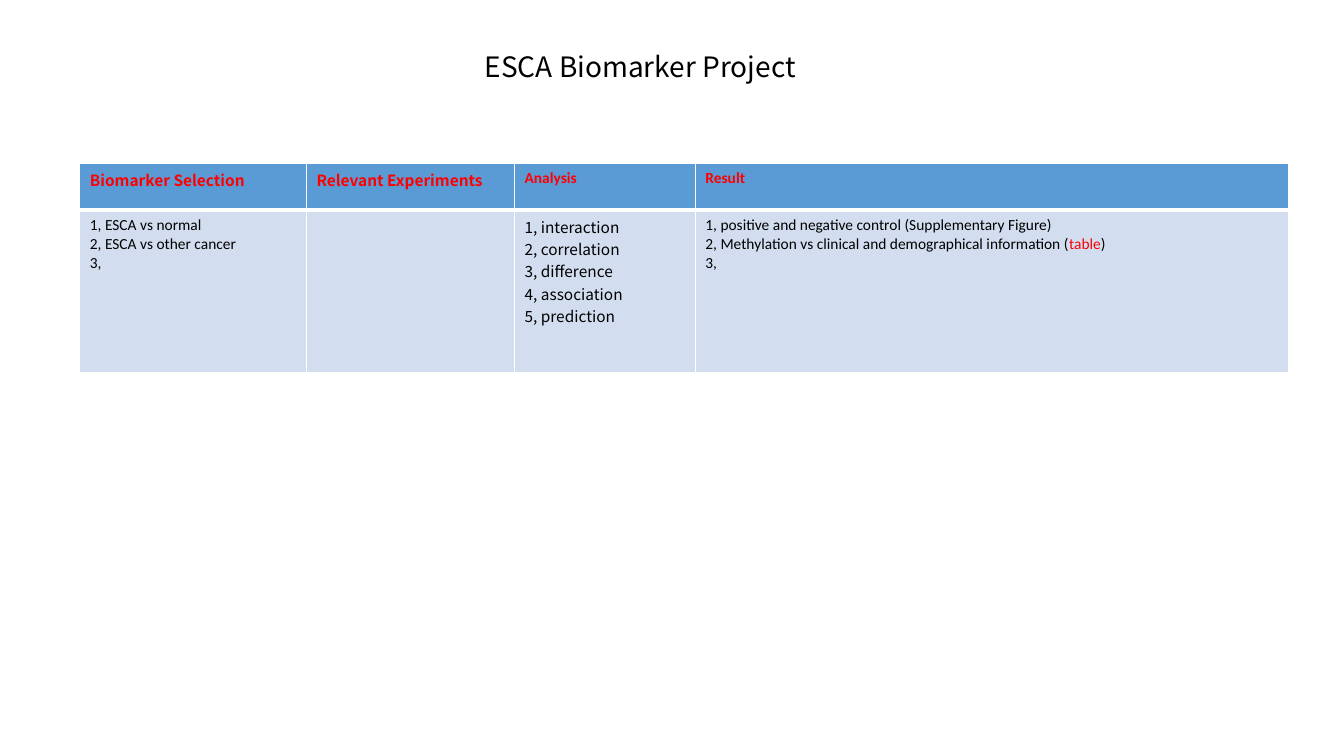
import pptx
import pptx.util
import pptx.dml.color
import pptx.enum.text
import pptx.oxml.ns
import lxml.etree

Pt = pptx.util.Pt

# Content: each column has a heading and lines; a line is a list of (text, colour)
TITLE = "ESCA Biomarker Project"
COLORS = {"text": "000000", "accent": "FF0000", "header": "5B9BD5",
          "body": "D2DEEF", "border": "FFFFFF"}
CJK, LATIN = "Noto Sans CJK SC", "Calibri"


def plain(*lines):
    return [[(line, "text")] for line in lines]


# (heading, heading font, body lines, body font, column width)
COLUMNS = [
    ("Biomarker Selection", CJK,
     plain("1, ESCA vs normal", "2, ESCA vs other cancer", "3, "), LATIN, 161.9),
    ("Relevant Experiments", CJK, [], LATIN, 148.6),
    ("Analysis", LATIN,
     plain("1, interaction", "2, correlation", "3, difference",
           "4, association ", "5, prediction"), CJK, 129.2),
    ("Result", LATIN,
     plain("1, positive and negative control (Supplementary Figure)")
     + [[("2, Methylation vs clinical and demographical information (", "text"),
         ("table", "accent"), (")", "text")]]
     + plain("3, "), LATIN, 423.8),
]
ROW_HEIGHTS = (33.6, 116)
TABLE_LEFT, TABLE_TOP = 57, 116.6
TABLE_TEXT_SIZE = 11


def rgb(name):
    return pptx.dml.color.RGBColor.from_string(COLORS[name])


def write_lines(text_frame, lines, font_name, size, bold=False):
    for index, line in enumerate(lines):
        paragraph = text_frame.paragraphs[0] if index == 0 else text_frame.add_paragraph()
        for text, color in line:
            run = paragraph.add_run()
            run.text = text
            run.font.name = font_name
            run.font.size = Pt(size)
            run.font.bold = bold
            run.font.color.rgb = rgb(color)


def set_borders(cell, bottom_width):
    properties = cell._tc.get_or_add_tcPr()
    name = pptx.oxml.ns.qn
    widths = {"a:lnL": 1, "a:lnR": 1, "a:lnT": 1, "a:lnB": bottom_width}
    # Borders must come before the fill
    for position, (side, width) in enumerate(widths.items()):
        line = lxml.etree.Element(name(side), w=str(int(Pt(width))))
        fill = lxml.etree.SubElement(line, name("a:solidFill"))
        lxml.etree.SubElement(fill, name("a:srgbClr"), val=COLORS["border"])
        properties.insert(position, line)


def fill_cell(cell, lines, font_name, fill, bold, bottom_width):
    cell.fill.solid()
    cell.fill.fore_color.rgb = rgb(fill)
    set_borders(cell, bottom_width)
    write_lines(cell.text_frame, lines, font_name, TABLE_TEXT_SIZE, bold)


# Slide
presentation = pptx.Presentation()
presentation.slide_width, presentation.slide_height = Pt(960), Pt(540)
slide = presentation.slides.add_slide(presentation.slide_layouts[6])

# Title
title = slide.shapes.add_textbox(Pt(339.1), Pt(31.7), Pt(242.6), Pt(31.7))
title.text_frame.word_wrap = False
title.text_frame.auto_size = pptx.enum.text.MSO_AUTO_SIZE.SHAPE_TO_FIT_TEXT
write_lines(title.text_frame, plain(TITLE), CJK, 20)

# Table
table_width = sum(column[-1] for column in COLUMNS)
table = slide.shapes.add_table(
    len(ROW_HEIGHTS), len(COLUMNS), Pt(TABLE_LEFT), Pt(TABLE_TOP),
    Pt(table_width), Pt(sum(ROW_HEIGHTS))).table
for row, height in zip(table.rows, ROW_HEIGHTS):
    row.height = Pt(height)
for index, (heading, heading_font, lines, body_font, width) in enumerate(COLUMNS):
    table.columns[index].width = Pt(width)
    fill_cell(table.cell(0, index), [[(heading, "accent")]], heading_font,
              "header", True, 3)
    fill_cell(table.cell(1, index), lines, body_font, "body", False, 1)

# The heavy rule under the header is shared with the body cells
for cell in table.rows[1].cells:
    top = cell._tc.tcPr.find(pptx.oxml.ns.qn("a:lnT"))
    top.set("w", str(int(Pt(3))))

presentation.save("out.pptx")
